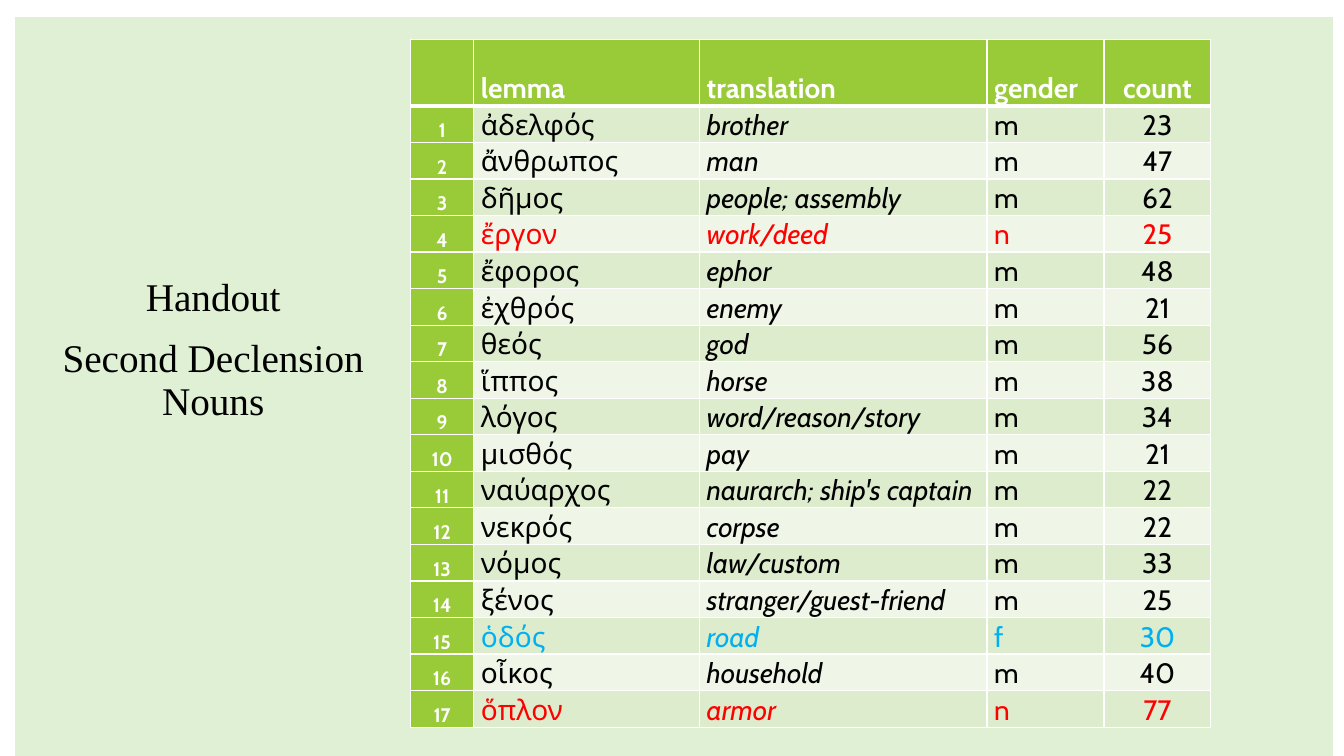
from lxml import etree
from pptx import Presentation
from pptx.dml.color import RGBColor
from pptx.enum.shapes import MSO_SHAPE
from pptx.enum.text import MSO_ANCHOR, PP_ALIGN
from pptx.oxml.ns import qn
from pptx.util import Inches, Pt

RECTANGLE = MSO_SHAPE.RECTANGLE
TOP, BOTTOM = MSO_ANCHOR.TOP, MSO_ANCHOR.BOTTOM
LEFT, CENTER = PP_ALIGN.LEFT, PP_ALIGN.CENTER

COLORS = {
    "panel": "DFF0D4", "green": "99CB38", "odd": "DEECCE", "even": "EFF6E8",
    "white": "FFFFFF", "m": "000000", "n": "FF0000", "f": "00B0F0",
}
HEADINGS = ["", "lemma", "translation", "gender", "count"]
NOUNS = [
    ("ἀδελφός", "brother", "m", 23),
    ("ἄνθρωπος", "man", "m", 47),
    ("δῆμος", "people; assembly", "m", 62),
    ("ἔργον", "work/deed", "n", 25),
    ("ἔφορος", "ephor", "m", 48),
    ("ἐχθρός", "enemy", "m", 21),
    ("θεός", "god", "m", 56),
    ("ἵππος", "horse", "m", 38),
    ("λόγος", "word/reason/story", "m", 34),
    ("μισθός", "pay", "m", 21),
    ("ναύαρχος", "naurarch; ship's captain", "m", 22),
    ("νεκρός", "corpse", "m", 22),
    ("νόμος", "law/custom", "m", 33),
    ("ξένος", "stranger/guest-friend", "m", 25),
    ("ὁδός", "road", "f", 30),
    ("οἶκος", "household", "m", 40),
    ("ὅπλον", "armor", "n", 77),
]
COLUMN_WIDTHS = [0.63, 2.24, 2.85, 1.16, 1.06]
HEADER_HEIGHT, NOUN_HEIGHT = 0.66, 0.36


def color(name):
    return RGBColor.from_string(COLORS[name])


def add_border(cell, side, points):
    line = etree.SubElement(cell._tc.get_or_add_tcPr(), qn(f"a:ln{side}"), w=str(Pt(points)))
    fill = etree.SubElement(line, qn("a:solidFill"))
    etree.SubElement(fill, qn("a:srgbClr"), val=COLORS["white"])


prs = Presentation()
prs.slide_width, prs.slide_height = Inches(13.33), Inches(7.5)
slide = prs.slides.add_slide(prs.slide_layouts[6])

# Green panel, with the title in the column left of the table
panel = slide.shapes.add_shape(RECTANGLE, Inches(0.15), Inches(0.17), Inches(13.07), Inches(7.33))
panel.shadow.inherit = False
panel.fill.solid()
panel.fill.fore_color.rgb = color("panel")
panel.line.fill.background()
title = panel.text_frame
title.word_wrap = True
title.vertical_anchor = TOP
title.margin_left, title.margin_right = Inches(0.05), Inches(9.19)
title.margin_top = Inches(2.58)
title.text = "Handout\nSecond Declension\vNouns"
for index, paragraph in enumerate(title.paragraphs):
    paragraph.alignment = CENTER
    paragraph.line_spacing = 0.9
    paragraph.space_before = Pt(12 if index else 0)
    paragraph.space_after = Pt(2)
    paragraph.font.name = "Times New Roman"
    paragraph.font.size = Pt(28)
    paragraph.font.color.rgb = color("m")

# Noun table
rows = [HEADINGS] + [(number, *noun) for number, noun in enumerate(NOUNS, 1)]
nouns = slide.shapes.add_table(
    len(rows), len(HEADINGS), Inches(4.07), Inches(0.39), Inches(sum(COLUMN_WIDTHS)),
    Inches(HEADER_HEIGHT + NOUN_HEIGHT * len(NOUNS))).table
for column, width in zip(nouns.columns, COLUMN_WIDTHS):
    column.width = Inches(width)

for r, values in enumerate(rows):
    nouns.rows[r].height = Inches(NOUN_HEIGHT if r else HEADER_HEIGHT)
    for c, value in enumerate(values):
        cell = nouns.cell(r, c)
        is_heading = r == 0 or c == 0

        # Borders, with a heavy rule under the headings
        for side in "LRTB":
            under_headings = (r, side) in [(0, "B"), (1, "T")]
            add_border(cell, side, 3 if under_headings else 1)
        cell.fill.solid()
        cell.fill.fore_color.rgb = color("green" if is_heading else "odd" if r % 2 else "even")

        # Text, coloured by gender
        cell.vertical_anchor = BOTTOM
        cell.margin_left = cell.margin_right = Inches(0.07)
        cell.margin_top = cell.margin_bottom = 0
        cell.text = str(value)
        paragraph = cell.text_frame.paragraphs[0]
        paragraph.alignment = CENTER if c in (0, 4) else LEFT
        paragraph.line_spacing = 1.07
        paragraph.font.name = "Cabin"
        paragraph.font.size = Pt(20 if c else 14)
        paragraph.font.bold = is_heading
        paragraph.font.italic = r > 0 and c == 2
        paragraph.font.color.rgb = color("white" if is_heading else values[3])

prs.save("out.pptx")
